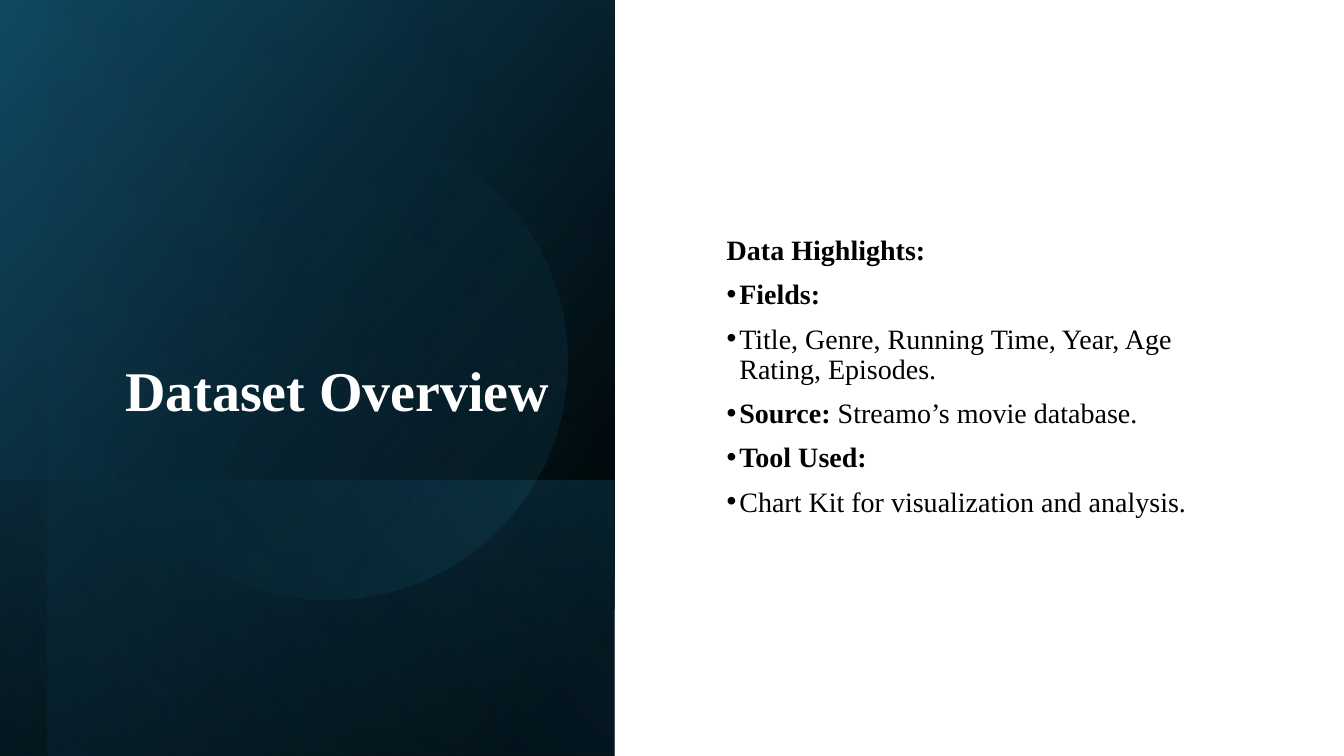
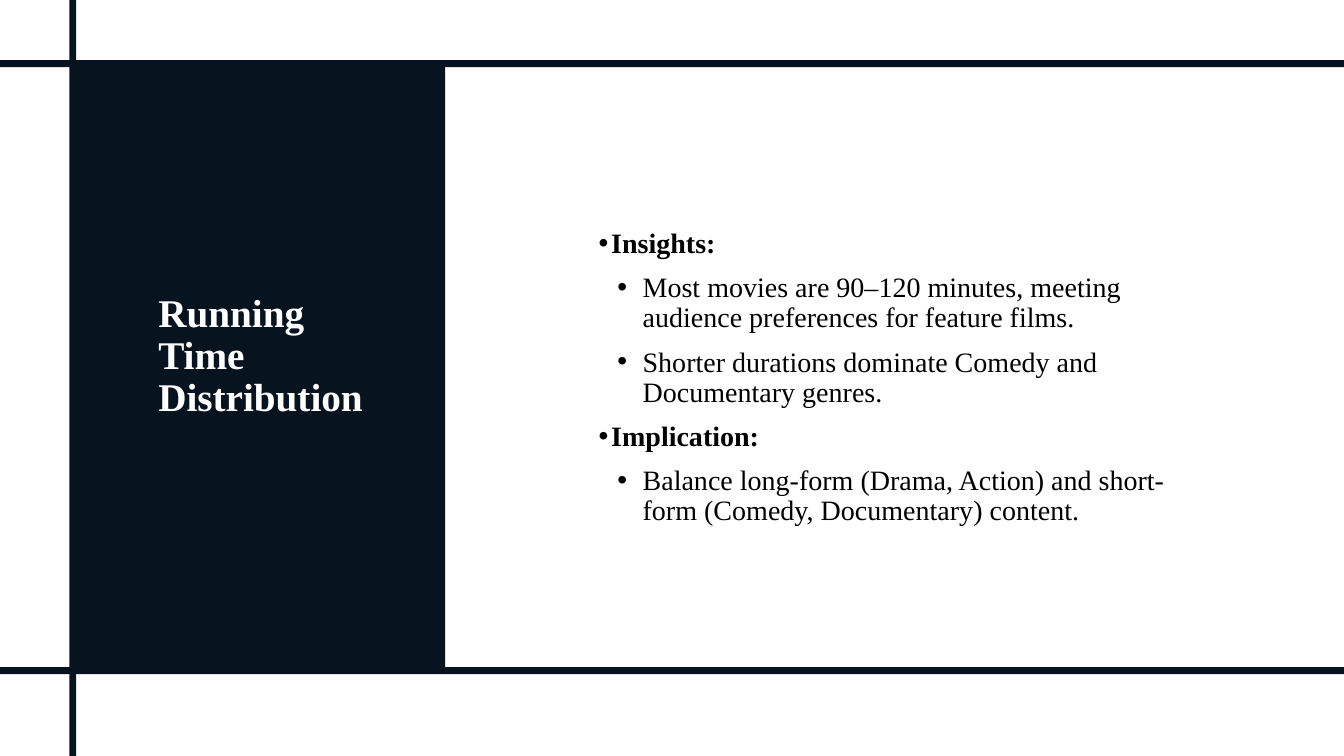
from pptx import Presentation
from pptx.dml.color import RGBColor
from pptx.enum.shapes import MSO_SHAPE
from pptx.enum.text import MSO_ANCHOR, PP_ALIGN
from pptx.oxml.ns import qn
from pptx.util import Pt
from lxml.etree import SubElement

WIDTH, HEIGHT = 960, 540
FONT = "Times New Roman"
COLORS = {
    "white": "FFFFFF",
    "black": "000000",
    "navy": "071420",
    "deep": "104862",
    "teal": "156082",
    "sky": "46B1E1",
}
BULLET_LEFT, SUB_BULLET_LEFT, HANGING = 9, 31.5, 18
BAR = 5


def color(name):
    return RGBColor.from_string(COLORS[name])


def add_plain_shape(page, kind, left, top, width, height):
    shape = page.shapes.add_shape(kind, Pt(left), Pt(top), Pt(width), Pt(height))
    shape.shadow.inherit = False
    shape.line.fill.background()
    return shape


def add_block(page, left, top, width, height):
    block = add_plain_shape(page, MSO_SHAPE.RECTANGLE, left, top, width, height)
    block.fill.solid()
    block.fill.fore_color.rgb = color("navy")


def fill_gradient(shape, stops, angle):
    """Each stop is (percent, color name, opacity percent); angle is clockwise."""
    shape.fill.gradient()
    shape.fill.gradient_angle = 360 - angle
    for stop, (percent, name, _) in zip(shape.fill.gradient_stops, stops):
        stop.position = percent / 100
        stop.color.rgb = color(name)
    tints = shape.element.spPr.find(qn("a:gradFill")).iter(qn("a:srgbClr"))
    for tint, (_, _, opacity) in zip(tints, stops):
        SubElement(tint, qn("a:alpha")).set("val", str(opacity * 1000))


def add_turned_panel(page, left, top, width, height, stops, angle):
    """Cover the given box with a mirrored rectangle turned a quarter."""
    shift = (width - height) / 2
    panel = add_plain_shape(page, MSO_SHAPE.RECTANGLE, left + shift, top - shift, height, width)
    panel.rotation = 90
    panel.element.spPr.find(qn("a:xfrm")).set("flipH", "1")
    fill_gradient(panel, stops, angle)


def add_text_frame(page, left, top, width, height, anchor):
    box = page.shapes.add_textbox(Pt(left), Pt(top), Pt(width), Pt(height))
    frame = box.text_frame
    frame.word_wrap = True
    frame.vertical_anchor = anchor
    return frame


def add_span(para, text, size, name, bold):
    span = para.add_run()
    span.text = text
    span.font.name = FONT
    span.font.size = Pt(size)
    span.font.bold = bold
    span.font.color.rgb = color(name)


def add_title(page, text, bounds, size, anchor, align):
    para = add_text_frame(page, *bounds, anchor).paragraphs[0]
    para.alignment = align
    para.line_spacing = 0.9
    add_span(para, text, size, "white", True)


def add_bullet(para, left):
    properties = para._p.get_or_add_pPr()
    properties.set("marL", str(Pt(left)))
    properties.set("indent", str(-Pt(HANGING)))
    SubElement(properties, qn("a:buFont")).set("typeface", "Arial")
    SubElement(properties, qn("a:buChar")).set("char", "•")


def add_body(page, bounds, lines):
    """Each line is (bullet left or None, bold text, regular text)."""
    frame = add_text_frame(page, *bounds, MSO_ANCHOR.MIDDLE)
    for index, (left, strong, regular) in enumerate(lines):
        para = frame.add_paragraph() if index else frame.paragraphs[0]
        para.line_spacing = 0.9
        para.space_before = Pt(10)
        if left is not None:
            add_bullet(para, left)
        for text, bold in ((strong, True), (regular, False)):
            if text:
                add_span(para, text, 20, "black", bold)


def add_page(deck):
    page = deck.slides.add_slide(deck.slide_layouts[6])
    page.background.fill.solid()
    page.background.fill.fore_color.rgb = color("white")
    return page


def build_overview(deck):
    page = add_page(deck)
    add_turned_panel(page, 0, 0, 439, HEIGHT, [(8, "black", 100), (100, "deep", 100)], 50)
    add_turned_panel(page, 0, 343, 439, 197, [(2, "teal", 29), (100, "black", 30)], 130)
    add_turned_panel(page, 34, 0, 405, HEIGHT, [(0, "black", 0), (99, "teal", 11)], 130)
    disc = add_plain_shape(page, MSO_SHAPE.OVAL, 65, 88.5, 340, 340)
    disc.rotation = 101.6
    fill_gradient(disc, [(39, "teal", 0), (100, "sky", 15)], 290)

    add_title(page, "Dataset Overview", (66, 39.6, 333.4, 266.4), 40,
              MSO_ANCHOR.BOTTOM, PP_ALIGN.RIGHT)
    add_body(page, (512, 51, 383, 437), [
        (None, "Data Highlights:", ""),
        (BULLET_LEFT, "Fields:", ""),
        (BULLET_LEFT, "", "Title, Genre, Running Time, Year, Age Rating, Episodes."),
        (BULLET_LEFT, "Source:", " Streamo’s movie database."),
        (BULLET_LEFT, "Tool Used:", ""),
        (BULLET_LEFT, "", "Chart Kit for visualization and analysis."),
    ])


def build_running_time(deck):
    page = add_page(deck)
    add_block(page, 52, 48, 266, 428.5)
    add_title(page, "Running Time Distribution", (106, 80.6, 185, 348.5), 28,
              MSO_ANCHOR.MIDDLE, PP_ALIGN.LEFT)
    add_body(page, (420.5, 101.5, 456.5, 337), [
        (BULLET_LEFT, "Insights:", ""),
        (SUB_BULLET_LEFT, "",
         "Most movies are 90–120 minutes, meeting audience preferences for feature films."),
        (SUB_BULLET_LEFT, "", "Shorter durations dominate Comedy and Documentary genres."),
        (BULLET_LEFT, "Implication:", ""),
        (SUB_BULLET_LEFT, "",
         "Balance long-form (Drama, Action) and short-form (Comedy, Documentary) content."),
    ])
    add_block(page, 49.5, 0, BAR, HEIGHT)
    for top in (43, 476.5):
        add_block(page, 0, top, WIDTH, BAR)


def main():
    deck = Presentation()
    deck.slide_width, deck.slide_height = Pt(WIDTH), Pt(HEIGHT)
    build_overview(deck)
    build_running_time(deck)
    deck.save("out.pptx")


if __name__ == "__main__":
    main()
